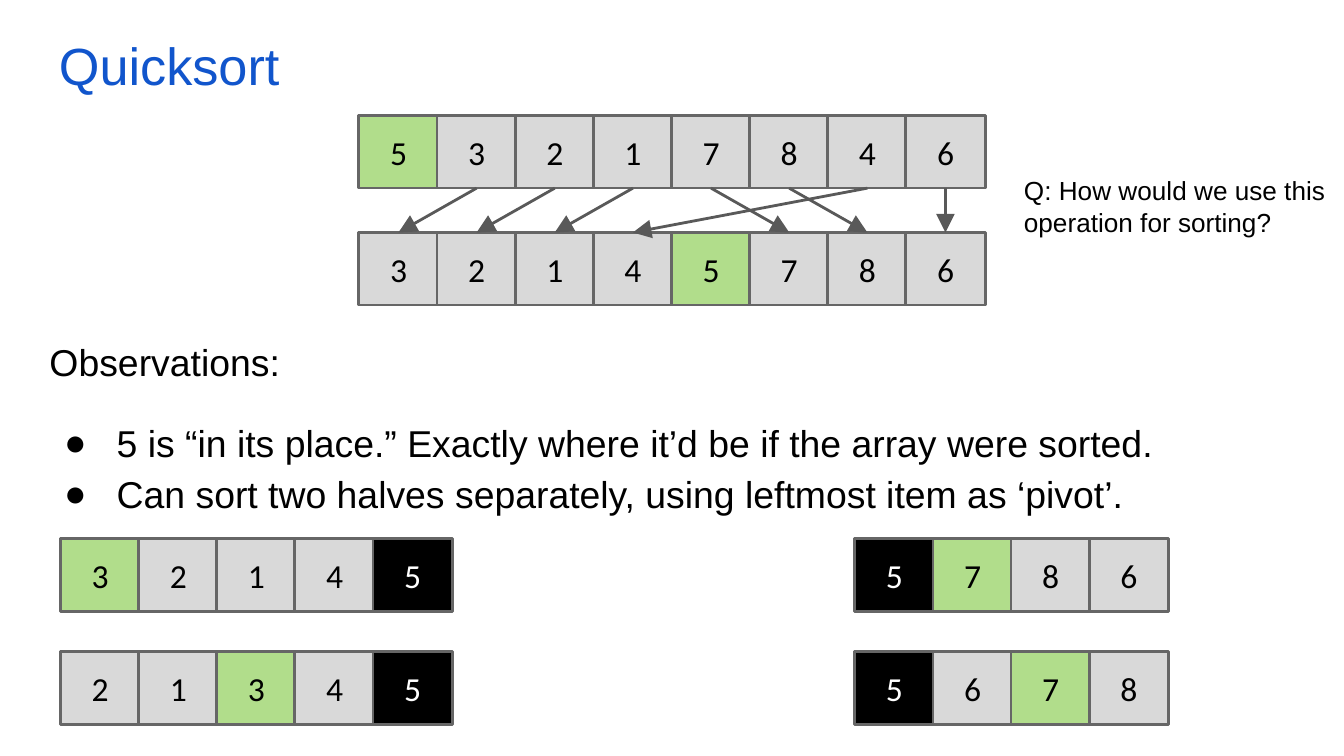
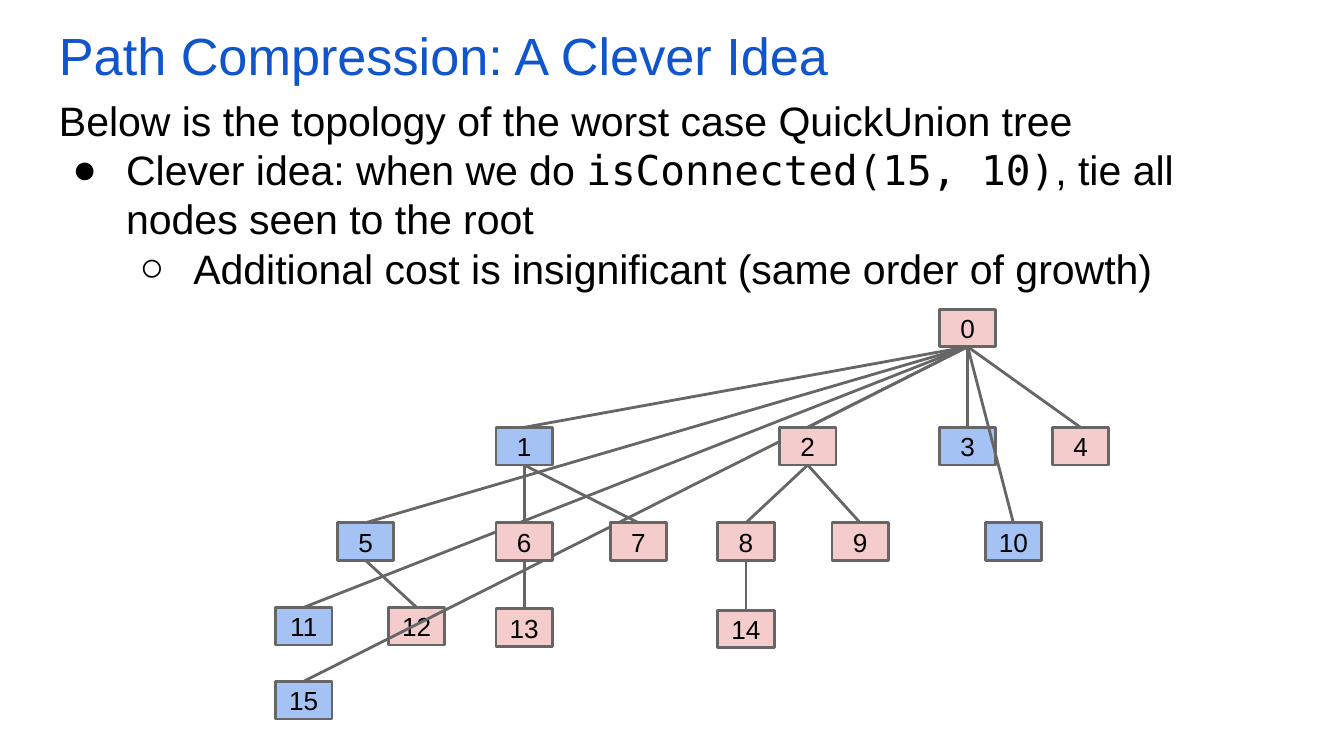
"""Build two slides: quicksort partitioning and path compression."""
from lxml.etree import SubElement
from pptx import Presentation
from pptx.dml.color import RGBColor
from pptx.enum.shapes import MSO_CONNECTOR, MSO_SHAPE
from pptx.enum.text import MSO_ANCHOR, PP_ALIGN
from pptx.oxml.ns import qn
from pptx.util import Inches, Pt

BLUE, BLACK, WHITE = "1155CC", "000000", "FFFFFF"
GREEN, GRAY, OUTLINE, ARROW = "B1DD8B", "D9D9D9", "666666", "595959"
SEEN, UNSEEN = "A4C2F4", "F4CCCC"
SANS, CELL_FONT, MONO = "Arial", "Calibri", "DejaVu Sans Mono"
CELL_WIDTH, CELL_HEIGHT, CELL_PITCH = 0.59, 0.54, 4.07 / 7
NODE_WIDTH, NODE_HEIGHT = 0.42, 0.28
hex_color = RGBColor.from_string


def add_box(slide, place, paragraphs, size, font=SANS, color=BLACK, fill=None, spacing=None):
    """Add a text box, or a centred outlined rectangle when a fill is given."""
    place = [Inches(length) for length in place]
    if fill:
        shape = slide.shapes.add_shape(MSO_SHAPE.RECTANGLE, *place)
        shape.shadow.inherit = False
        shape.fill.solid()
        shape.fill.fore_color.rgb = hex_color(fill)
        shape.line.color.rgb = hex_color(OUTLINE)
        shape.line.width = Pt(1.5)
    else:
        shape = slide.shapes.add_textbox(*place)
    frame = shape.text_frame
    frame.word_wrap = True
    frame.vertical_anchor = MSO_ANCHOR.MIDDLE if fill else MSO_ANCHOR.TOP
    inset = Inches(0.05 if fill else 0.1)
    frame.margin_left = frame.margin_right = inset
    frame.margin_top = frame.margin_bottom = inset
    for index, (runs, bullet, indent, hanging, after) in enumerate(paragraphs):
        paragraph = frame.add_paragraph() if index else frame.paragraphs[0]
        if bullet:
            properties = paragraph._p.get_or_add_pPr()
            properties.set("marL", str(Inches(indent)))
            properties.set("indent", str(-Inches(hanging)))
            bullet_color = SubElement(properties, qn("a:buClr"))
            SubElement(bullet_color, qn("a:srgbClr"), val=color)
            SubElement(properties, qn("a:buFont"), typeface=SANS)
            SubElement(properties, qn("a:buChar"), char=bullet)
            paragraph.level = 1 if indent > 0.5 else 0
        paragraph.alignment = PP_ALIGN.CENTER if fill else PP_ALIGN.LEFT
        paragraph.space_after = Pt(after)
        if spacing:
            paragraph.line_spacing = spacing
        for text, run_font in runs:
            run = paragraph.add_run()
            run.text = text
            run.font.name = run_font or font
            run.font.size = Pt(size)
            run.font.color.rgb = hex_color(color)


def add_line(slide, start, end, color, arrow=False):
    """Add a straight line, with an arrowhead at its end if asked."""
    points = [Inches(length) for length in (*start, *end)]
    connector = slide.shapes.add_connector(MSO_CONNECTOR.STRAIGHT, *points)
    connector.line.color.rgb = hex_color(color)
    connector.line.width = Pt(1.5)
    if arrow:
        SubElement(connector.line._get_or_add_ln(), qn("a:tailEnd"),
                   type="triangle", w="lg", len="lg")
    SubElement(connector._element.spPr, qn("a:effectLst"))


presentation = Presentation()
presentation.slide_width = Inches(10)
presentation.slide_height = Inches(10 * 9 / 16)
slides = []
for title, top in [("Quicksort", 0.15), ("Path Compression: A Clever Idea", 0.07)]:
    slide = presentation.slides.add_slide(presentation.slide_layouts[6])
    add_box(slide, (0.34, top, 9.32, 0.63), [([(title, None)], None, 0, 0, 0)], 28, color=BLUE)
    slides.append(slide)
quicksort, compression = slides

observations = [
    ([("Observations:", None)], None, 0, 0, 16),
    ([("5 is “in its place.” Exactly where it’d be if the array were sorted.", None)],
     "●", 0.5, 0.39, 0),
    ([("Can sort two halves separately, using leftmost item as ‘pivot’.", None)],
     "●", 0.5, 0.39, 16),
]
add_box(quicksort, (0.27, 2.37, 9.36, 1.48), observations, 20, spacing=1.15)

array_left, before_top, after_top = 2.67, 0.86, 1.73
before, after = "53217846", "32145786"
arrays = [
    (array_left, before_top, before, "5", ""),
    (array_left, after_top, after, "5", ""),
    (0.45, 4.01, "32145", "3", "5"),
    (6.36, 4.01, "5786", "7", "5"),
    (0.45, 4.85, "21345", "3", "5"),
    (6.36, 4.85, "5678", "7", "5"),
]
for left, top, items, pivot, placed in arrays:
    for index, item in enumerate(items):
        fill = BLACK if item == placed else GREEN if item == pivot else GRAY
        add_box(quicksort, (left + index * CELL_PITCH, top, CELL_WIDTH, CELL_HEIGHT),
                [([(item, None)], None, 0, 0, 0)], 18, CELL_FONT,
                WHITE if item == placed else BLACK, fill)

first_center = array_left + CELL_WIDTH / 2
for index, item in enumerate(before):
    if item != "5":
        add_line(quicksort, (first_center + index * CELL_PITCH, before_top + CELL_HEIGHT),
                 (first_center + after.index(item) * CELL_PITCH, after_top), ARROW, True)

question = [([("Q: How would we use this operation for sorting?", None)], None, 0, 0, 0)]
add_box(quicksort, (7.52, 1.2, 2.48, 0.78), question, 14)

idea = [
    ([("Below is the topology of the worst case QuickUnion tree", None)], None, 0, 0, 0),
    ([("Clever idea: when we do ", None), ("isConnected(15, 10)", MONO),
      (", tie all nodes seen to the root", None)], "●", 0.5, 0.4, 0),
    ([("Additional cost is insignificant (same order of growth)", None)], "○", 1, 0.4, 0),
]
add_box(compression, (0.34, 0.61, 9.12, 1.34), idea, 22)

nodes = {
    0: (6.99, 2.3),
    1: (3.69, 3.18), 2: (5.8, 3.18), 3: (6.99, 3.18), 4: (7.83, 3.18),
    5: (2.51, 3.89), 6: (3.69, 3.89), 7: (4.54, 3.89),
    8: (5.34, 3.89), 9: (6.19, 3.89), 10: (7.33, 3.89),
    11: (2.05, 4.52), 12: (2.89, 4.52), 13: (3.69, 4.53), 14: (5.34, 4.54),
    15: (2.05, 5.07),
}
seen_nodes = {1, 3, 5, 10, 11, 15}
parents = {1: 0, 2: 0, 3: 0, 4: 0, 5: 0, 6: 1, 7: 1, 8: 2, 9: 2, 10: 0,
           11: 0, 12: 5, 13: 6, 14: 8, 15: 0}
layers = [
    ([15, 11, 5, 12], [15, 11, 12]),
    ([13, 6, 1, 7], [13, 6, 7, 5]),
    ([14, 8, 2, 9], [14, 8, 9]),
    ([10, 3, 0, 4], [10, 3, 4, 2, 1]),
]
for layer_nodes, children in layers:
    for node in layer_nodes:
        add_box(compression, (*nodes[node], NODE_WIDTH, NODE_HEIGHT),
                [([(str(node), None)], None, 0, 0, 0)], 14,
                fill=SEEN if node in seen_nodes else UNSEEN)
    for child in children:
        left, top = nodes[child]
        parent_left, parent_top = nodes[parents[child]]
        add_line(compression, (left + NODE_WIDTH / 2, top),
                 (parent_left + NODE_WIDTH / 2, parent_top + NODE_HEIGHT), OUTLINE)

presentation.save("out.pptx")
